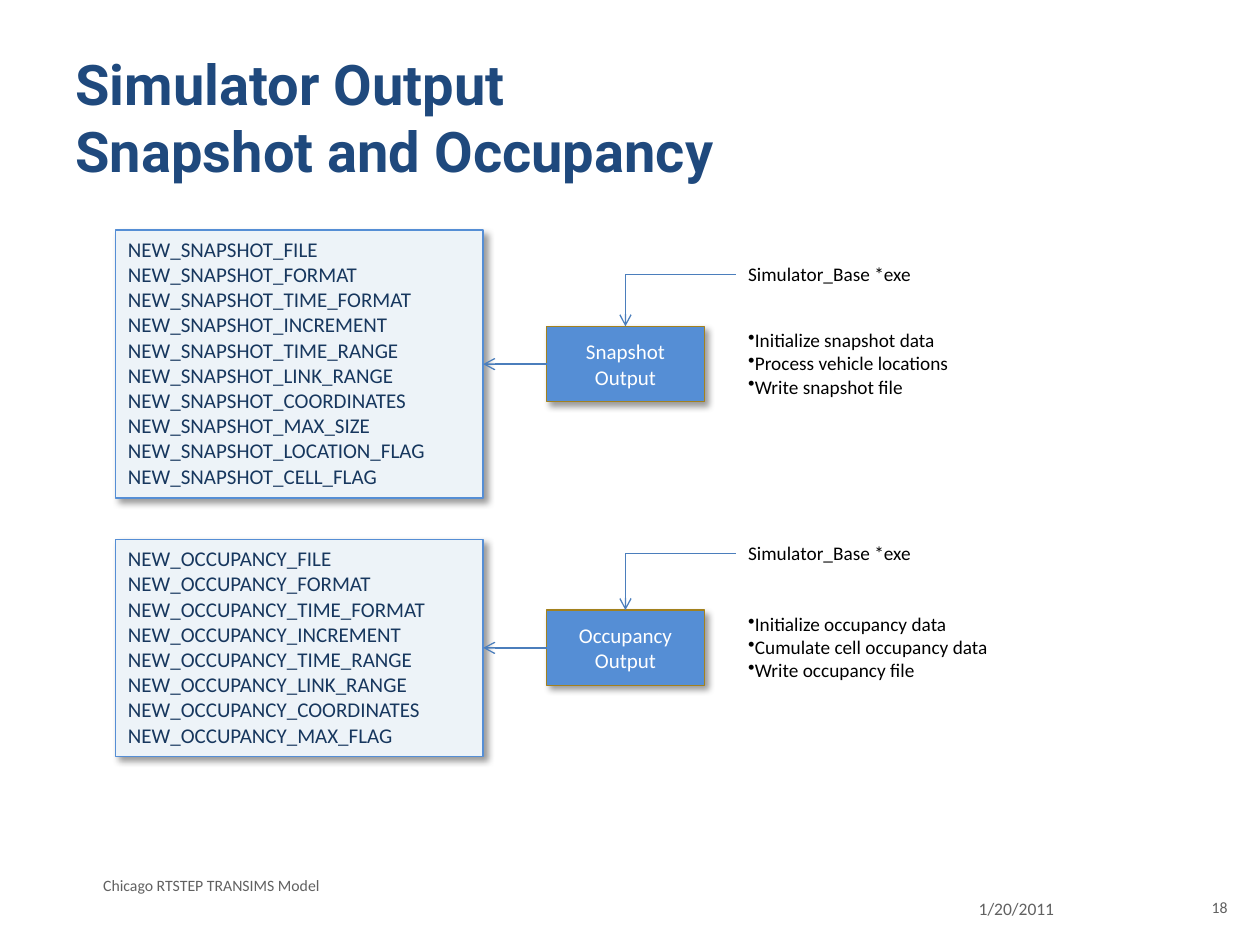
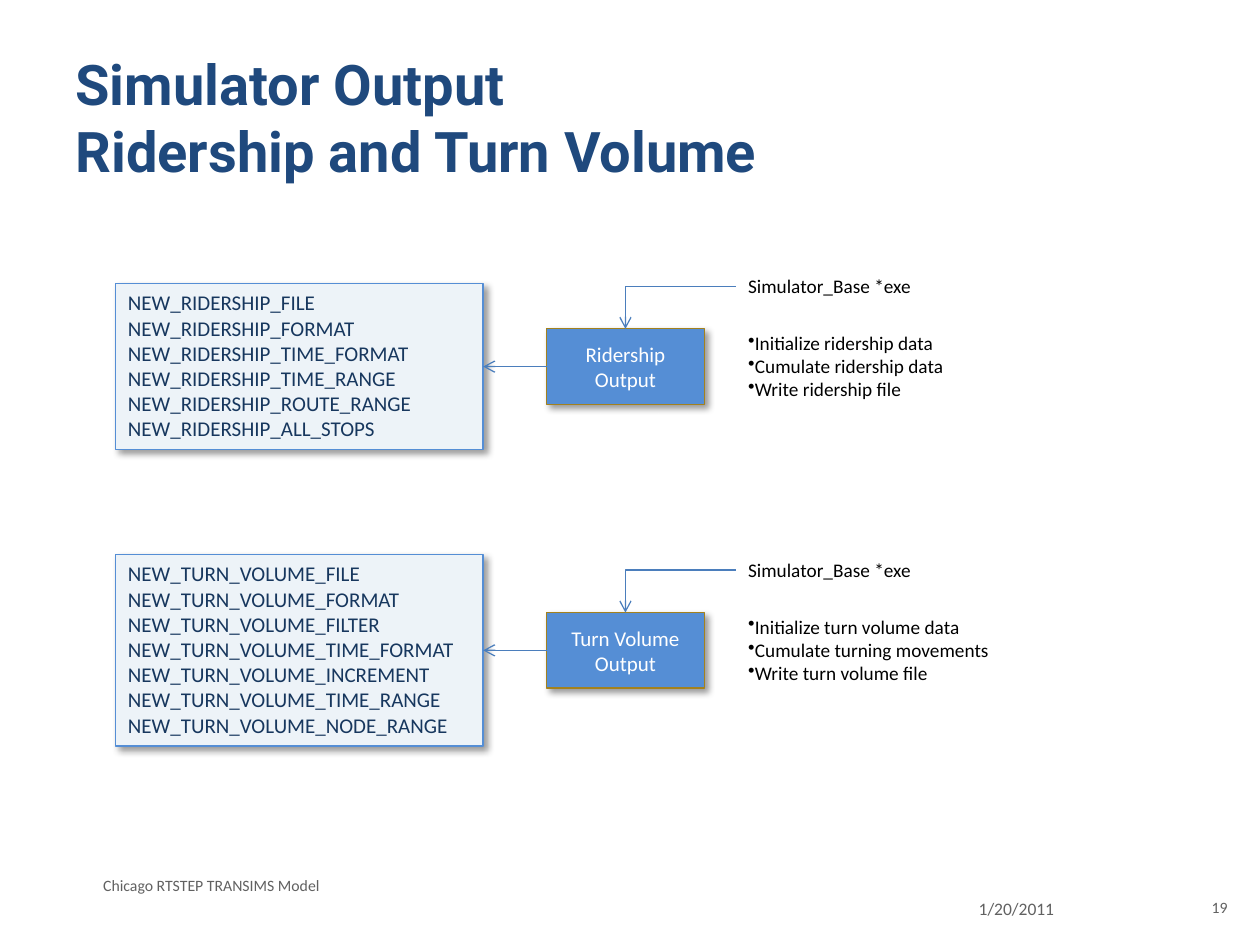
from pptx import Presentation
from pptx.dml.color import RGBColor
from pptx.enum import shapes, text
from pptx.oxml import parse_xml
from pptx.oxml.ns import nsdecls, qn
from pptx.util import Cm, Pt

# Shared colours and text formats
NAVY = RGBColor(0x1F, 0x49, 0x7D)
KEY_INK = RGBColor(0x17, 0x37, 0x5E)
KEY_FILL = RGBColor(0xED, 0xF3, 0xF8)
BLUE = RGBColor(0x55, 0x8E, 0xD5)
GOLD = RGBColor(0xA3, 0x81, 0x1D)
WIRE = RGBColor(0x4B, 0x7E, 0xBC)
GREY = RGBColor(0x61, 0x61, 0x61)
BLACK = RGBColor(0, 0, 0)
WHITE = RGBColor(0xFF, 0xFF, 0xFF)

TITLE = dict(name="Roboto", size=Pt(32), bold=True, color=NAVY)
KEYS = dict(name="Calibri", size=Pt(12), color=KEY_INK)
PROCESS = dict(name="Calibri", size=Pt(12), color=WHITE)
NOTE = dict(name="Calibri", size=Pt(11), color=BLACK)
FOOTER = dict(name="Calibri", size=Pt(9), color=GREY)
DATE = dict(FOOTER, size=Pt(10))

LEFT, RIGHT, CENTER = (text.PP_ALIGN.LEFT, text.PP_ALIGN.RIGHT,
                       text.PP_ALIGN.CENTER)
TOP, MIDDLE = text.MSO_ANCHOR.TOP, text.MSO_ANCHOR.MIDDLE
GROW = text.MSO_AUTO_SIZE.SHAPE_TO_FIT_TEXT


def write(shape, lines, style, align=LEFT, anchor=TOP, bullet=False, grow=False):
    """Fill a shape with one paragraph per line."""
    tf = shape.text_frame
    tf.word_wrap = True
    tf.vertical_anchor = anchor
    tf.auto_size = GROW if grow else text.MSO_AUTO_SIZE.NONE
    for i, line in enumerate(lines):
        p = tf.paragraphs[0] if i == 0 else tf.add_paragraph()
        p.text = line
        p.alignment = align
        if bullet:
            p._p.get_or_add_pPr().append(
                parse_xml(f'<a:buChar {nsdecls("a")} char="•"/>'))
        for r in p.runs:
            for key, value in style.items():
                if key == "color":
                    r.font.color.rgb = value
                else:
                    setattr(r.font, key, value)


def add_text(s, box, lines, style, **options):
    sp = s.shapes.add_textbox(*map(Cm, box))
    write(sp, lines, style, **options)


def add_panel(s, kind, box, fill, line):
    """Filled shape with a thin outline and a soft shadow."""
    sp = s.shapes.add_shape(kind, *map(Cm, box))
    sp.fill.solid()
    sp.fill.fore_color.rgb = fill
    sp.line.color.rgb = line
    sp.line.width = Pt(0.75)
    sp.shadow.inherit = False
    sp._element.spPr.find(qn("a:effectLst")).append(parse_xml(
        f'<a:outerShdw {nsdecls("a")} blurRad="{Pt(4)}" dist="{Pt(3)}" '
        'dir="2700000" algn="tl" rotWithShape="0"><a:srgbClr val="000000">'
        '<a:alpha val="40000"/></a:srgbClr></a:outerShdw>'))
    return sp


def add_arrow(s, start, end, bent=False):
    kind = shapes.MSO_CONNECTOR.ELBOW if bent else shapes.MSO_CONNECTOR.STRAIGHT
    c = s.shapes.add_connector(kind, *map(Cm, start + end))
    c.line.color.rgb = WIRE
    c.line.width = Pt(0.75)
    spPr = c._element.spPr
    if bent:  # a single corner
        spPr.find(qn("a:prstGeom")).set("prst", "bentConnector2")
    spPr.find(qn("a:ln")).append(
        parse_xml(f'<a:tailEnd {nsdecls("a")} type="arrow"/>'))
    spPr.append(parse_xml(f'<a:effectLst {nsdecls("a")}/>'))


def output_block(s, left, middle, rise, name, steps, keys):
    """Control keys, process and its steps, centred on the height `middle`;
    the calling program sits `rise` above it."""
    keys_w, keys_h = 7.41, 0.25 + 0.515 * len(keys)
    process_x, process_w, process_h = left + 8.69, 3.18, 1.52
    notes_x, steps_h, caller_h = left + 12.5, 1.68, 0.74
    caller_y = middle - rise

    # Process and what it does
    sp = add_panel(s, shapes.MSO_SHAPE.FLOWCHART_PROCESS,
                   (process_x, middle - process_h / 2, process_w, process_h),
                   BLUE, GOLD)
    write(sp, [name, "Output"], PROCESS, align=CENTER, anchor=MIDDLE)
    add_text(s, (notes_x, middle - steps_h / 2, 6.56, steps_h), steps, NOTE,
             bullet=True, grow=True)

    # Control keys
    sp = add_panel(s, shapes.MSO_SHAPE.RECTANGLE,
                   (left, middle - keys_h / 2, keys_w, keys_h), KEY_FILL, BLUE)
    write(sp, [f"NEW_{key}" for key in keys], KEYS, grow=True)
    add_arrow(s, (process_x, middle), (left + keys_w, middle))

    # Calling program
    add_text(s, (notes_x, caller_y - caller_h / 2, 4.45, caller_h),
             ["Simulator_Base *exe"], NOTE, grow=True)
    add_arrow(s, (notes_x, caller_y),
              (process_x + process_w / 2, middle - process_h / 2), bent=True)


def footer(s, number):
    add_text(s, (19.48, 17.98, 3.81, 0.84), ["1/20/2011"], DATE)
    add_text(s, (1.83, 17.53, 16.51, 0.64), ["Chicago RTSTEP TRANSIMS Model"],
             FOOTER)
    add_text(s, (23.93, 17.98, 1.07, 0.81), [str(number)], FOOTER, align=RIGHT)


def output_slide(prs, number, subject, blocks):
    s = prs.slides.add_slide(prs.slide_layouts[5])
    title = s.shapes.title
    title.left, title.top, title.width, title.height = map(
        Cm, (1.27, 0.76, 22.86, 3.18))
    write(title, [f"Simulator Output\v{subject}"], TITLE, anchor=MIDDLE)
    footer(s, number)
    for block in blocks:
        output_block(s, 2.33, *block)


SNAPSHOT = (7.34, 1.8, "Snapshot", [
    "Initialize snapshot data",
    "Process vehicle locations",
    "Write snapshot file",
], [
    "SNAPSHOT_FILE", "SNAPSHOT_FORMAT", "SNAPSHOT_TIME_FORMAT",
    "SNAPSHOT_INCREMENT", "SNAPSHOT_TIME_RANGE", "SNAPSHOT_LINK_RANGE",
    "SNAPSHOT_COORDINATES", "SNAPSHOT_MAX_SIZE", "SNAPSHOT_LOCATION_FLAG",
    "SNAPSHOT_CELL_FLAG",
])
OCCUPANCY = (13.06, 1.9, "Occupancy", [
    "Initialize occupancy data",
    "Cumulate cell occupancy data",
    "Write occupancy file",
], [
    "OCCUPANCY_FILE", "OCCUPANCY_FORMAT", "OCCUPANCY_TIME_FORMAT",
    "OCCUPANCY_INCREMENT", "OCCUPANCY_TIME_RANGE", "OCCUPANCY_LINK_RANGE",
    "OCCUPANCY_COORDINATES", "OCCUPANCY_MAX_FLAG",
])
RIDERSHIP = (7.39, 1.62, "Ridership", [
    "Initialize ridership data",
    "Cumulate ridership data",
    "Write ridership file",
], [
    "RIDERSHIP_FILE", "RIDERSHIP_FORMAT", "RIDERSHIP_TIME_FORMAT",
    "RIDERSHIP_TIME_RANGE", "RIDERSHIP_ROUTE_RANGE", "RIDERSHIP_ALL_STOPS",
])
TURN_VOLUME = (13.11, 1.62, "Turn Volume", [
    "Initialize turn volume data",
    "Cumulate turning movements",
    "Write turn volume file",
], [
    "TURN_VOLUME_FILE", "TURN_VOLUME_FORMAT", "TURN_VOLUME_FILTER",
    "TURN_VOLUME_TIME_FORMAT", "TURN_VOLUME_INCREMENT",
    "TURN_VOLUME_TIME_RANGE", "TURN_VOLUME_NODE_RANGE",
])


def main():
    prs = Presentation()
    prs.slide_width, prs.slide_height = Cm(25.4), Cm(19.05)
    output_slide(prs, 18, "Snapshot and Occupancy", [SNAPSHOT, OCCUPANCY])
    output_slide(prs, 19, "Ridership and Turn Volume", [RIDERSHIP, TURN_VOLUME])
    prs.save("out.pptx")


if __name__ == "__main__":
    main()
